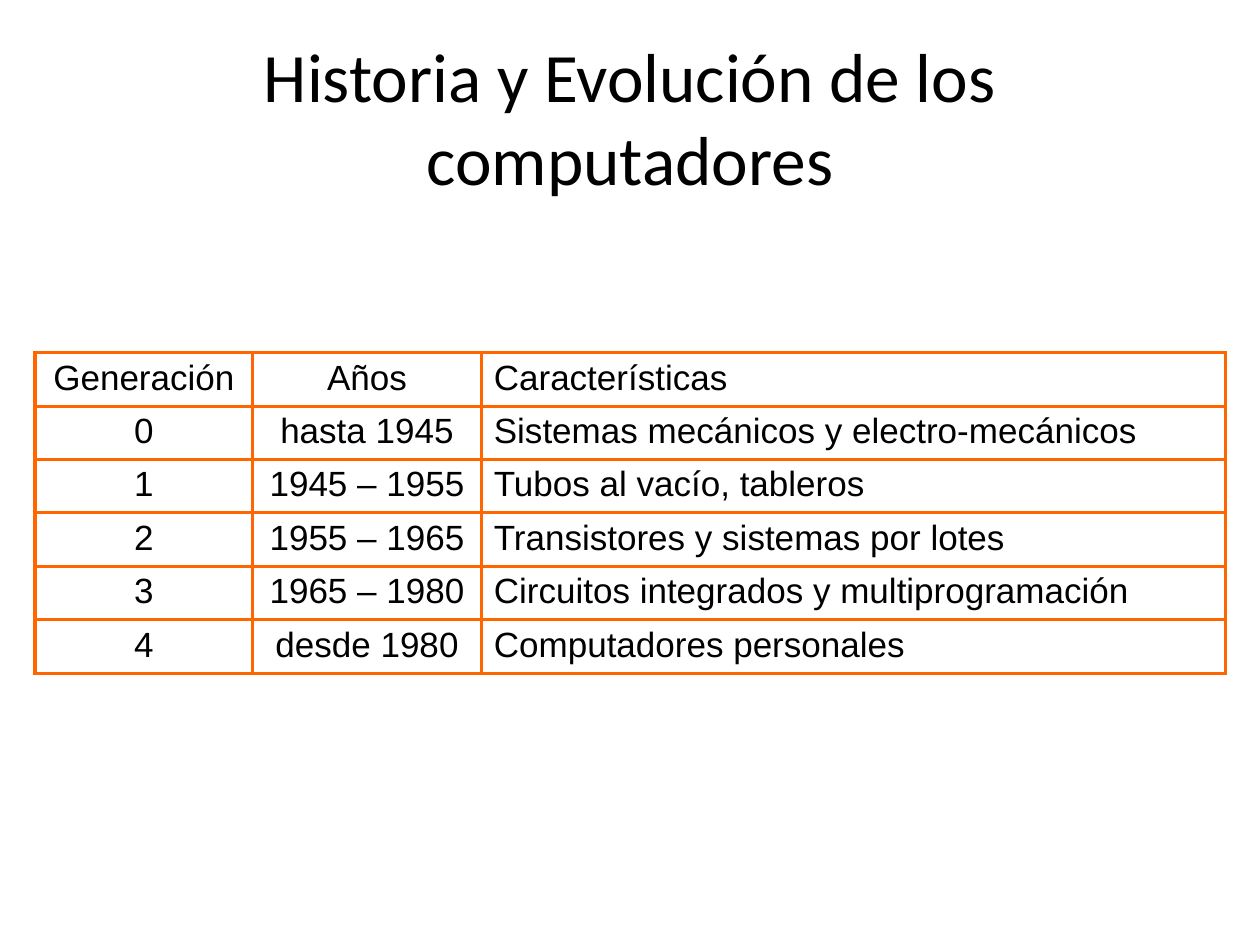
from typing import NamedTuple

from lxml.etree import SubElement
from pptx import Presentation
from pptx.dml.color import RGBColor
from pptx.enum.text import MSO_ANCHOR, PP_ALIGN
from pptx.oxml.ns import qn
from pptx.util import Pt

BLACK = RGBColor(0x00, 0x00, 0x00)
ORANGE = RGBColor(0xFF, 0x66, 0x00)
BORDER_WIDTH = Pt(2)
ROW_HEIGHT = Pt(29.5)
CELL_MARGIN = Pt(3.25)


class Column(NamedTuple):
    width: float
    alignment: PP_ALIGN


class Generation(NamedTuple):
    number: str
    years: str
    features: str


COLUMNS = [
    Column(124.5, PP_ALIGN.CENTER),
    Column(130.5, PP_ALIGN.CENTER),
    Column(425.5, PP_ALIGN.LEFT),
]
ROWS = [
    Generation("Generación", "Años", "Características"),
    Generation("0", "hasta 1945", "Sistemas mecánicos y electro-mecánicos"),
    Generation("1", "1945 – 1955", "Tubos al vacío, tableros"),
    Generation("2", "1955 – 1965", "Transistores y sistemas por lotes"),
    Generation("3", "1965 – 1980", "Circuitos integrados y multiprogramación"),
    Generation("4", "desde 1980", "Computadores personales"),
]


def write_text(text_frame, text: str, font_name: str, size: float, alignment: PP_ALIGN) -> None:
    text_frame.text = text
    paragraph = text_frame.paragraphs[0]
    paragraph.alignment = alignment
    font = paragraph.runs[0].font
    font.name = font_name
    font.size = Pt(size)
    font.bold = False
    font.color.rgb = BLACK


def add_borders(cell) -> None:
    properties = cell._tc.get_or_add_tcPr()
    for position, side in enumerate(("a:lnL", "a:lnR", "a:lnT", "a:lnB")):
        line = SubElement(properties, qn(side), w=str(BORDER_WIDTH))
        properties.insert(position, line)
        fill = SubElement(line, qn("a:solidFill"))
        SubElement(fill, qn("a:srgbClr"), val=str(ORANGE))


def add_title(slide) -> None:
    title = slide.shapes.add_textbox(Pt(36), Pt(21.6), Pt(648), Pt(90))
    text_frame = title.text_frame
    text_frame.word_wrap = True
    text_frame.vertical_anchor = MSO_ANCHOR.MIDDLE
    write_text(text_frame, "Historia y Evolución de los computadores",
               "Calibri", 39.6, PP_ALIGN.CENTER)


def add_generation_table(slide) -> None:
    width = Pt(sum(column.width for column in COLUMNS))
    table = slide.shapes.add_table(
        len(ROWS), len(COLUMNS), Pt(20), Pt(201.6), width, ROW_HEIGHT * len(ROWS)
    ).table
    table.first_row = False
    table.horz_banding = False
    for table_column, column in zip(table.columns, COLUMNS):
        table_column.width = Pt(column.width)
    for table_row, generation in zip(table.rows, ROWS):
        table_row.height = ROW_HEIGHT
        for cell, text, column in zip(table_row.cells, generation, COLUMNS):
            cell.fill.background()
            cell.margin_top = cell.margin_bottom = CELL_MARGIN
            write_text(cell.text_frame, text, "Arial", 20, column.alignment)
            add_borders(cell)


def main() -> None:
    presentation = Presentation()
    presentation.slide_width = Pt(720)
    presentation.slide_height = Pt(540)
    slide = presentation.slides.add_slide(presentation.slide_layouts[6])
    add_title(slide)
    add_generation_table(slide)
    presentation.save("out.pptx")


if __name__ == "__main__":
    main()
